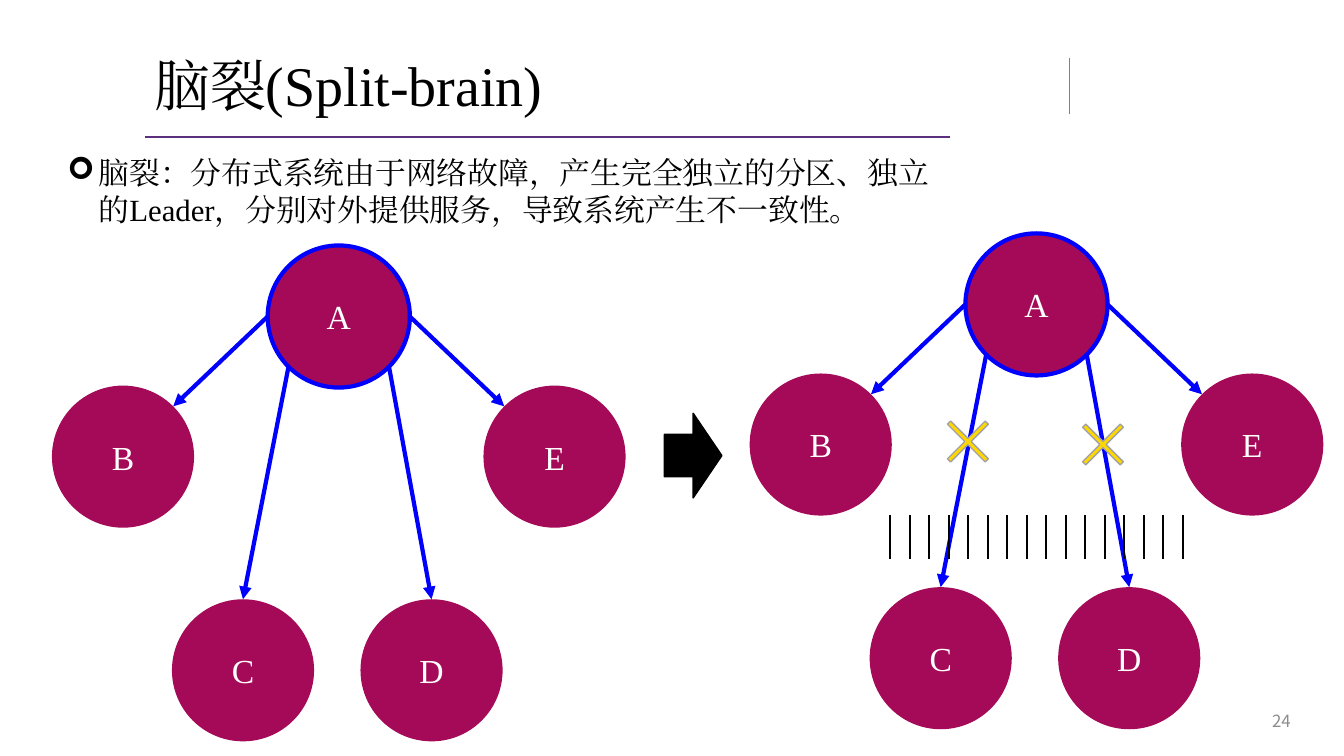
import math

from lxml import etree
from pptx import Presentation
from pptx.dml.color import RGBColor
from pptx.enum import shapes, text
from pptx.oxml.ns import qn
from pptx.util import Inches, Pt

COLORS = {
    "ink": "000000",
    "white": "FFFFFF",
    "rule": "5C307E",
    "divider": "808080",
    "number": "8C8C8C",
    "node": "A40A57",
    "link": "0000FF",
    "cross": "FFD700",
    "cross_edge": "A3A3A3",
}
SERIF, SANS = "Times New Roman", "Noto Sans CJK SC"
NODE = 1.41  # node diameter


class SlideBuilder:
    def __init__(self, prs):
        self.slide = prs.slides.add_slide(prs.slide_layouts[6])

    def color(self, name):
        return RGBColor.from_string(COLORS[name])

    def set_text(self, tf, words, size, color, font=SERIF, align=text.PP_ALIGN.LEFT,
                 anchor=text.MSO_ANCHOR.MIDDLE):
        tf.word_wrap = True
        tf.vertical_anchor = anchor
        tf.text = words
        p = tf.paragraphs[0]
        p.alignment = align
        r = p.runs[0]
        r.font.size, r.font.name = Pt(size), font
        r.font.color.rgb = self.color(color)
        etree.SubElement(r._r.get_or_add_rPr(), qn("a:ea"), typeface=font)
        return p

    def textbox(self, box, words, size, color, **style):
        sp = self.slide.shapes.add_textbox(*map(Inches, box))
        return self.set_text(sp.text_frame, words, size, color, **style)

    def bullet(self, p, char, indent):
        pPr = p._p.get_or_add_pPr()
        pPr.set("marL", str(Inches(indent)))
        pPr.set("indent", str(-Inches(indent)))
        etree.SubElement(pPr, qn("a:buFont"), typeface="Wingdings")
        etree.SubElement(pPr, qn("a:buChar"), char=char)

    def shape(self, kind, box, fill, edge=None, width=1):
        sp = self.slide.shapes.add_shape(kind, *map(Inches, box))
        sp.shadow.inherit = False
        sp.fill.solid()
        sp.fill.fore_color.rgb = self.color(fill)
        if edge:
            sp.line.color.rgb = self.color(edge)
            sp.line.width = Pt(width)
        else:
            sp.line.fill.background()
        return sp

    def line(self, start, end, color, width, arrow=False):
        cxn = self.slide.shapes.add_connector(
            shapes.MSO_CONNECTOR.STRAIGHT, *map(Inches, (*start, *end)))
        cxn.line.color.rgb = self.color(color)
        cxn.line.width = Pt(width)
        spPr = cxn._element.spPr
        if arrow:
            etree.SubElement(spPr.find(qn("a:ln")), qn("a:tailEnd"), type="triangle")
        etree.SubElement(spPr, qn("a:effectLst"))

    def node(self, center, label, edge=None):
        x, y = center
        box = (x - NODE / 2, y - NODE / 2, NODE, NODE)
        sp = self.shape(shapes.MSO_SHAPE.OVAL, box, "node", edge, 3)
        self.set_text(sp.text_frame, label, 24, "white", align=text.PP_ALIGN.CENTER)

    def cluster(self, x, y):
        """Leader A at (x, y) with arrows to its four followers."""
        def rim(center, degrees):
            a = math.radians(degrees)
            return (center[0] + NODE / 2 * math.cos(a), center[1] + NODE / 2 * math.sin(a))

        # label, offset from the leader, angle at the leader, angle at the follower
        followers = [
            ("B", -2.14, 1.39, 180, -45),
            ("C", -0.95, 3.51, 135, -90),
            ("D", 0.92, 3.51, 45, -90),
            ("E", 2.14, 1.39, 0, -135),
        ]
        self.node((x, y), "A", "link")
        for label, dx, dy, leave, arrive in followers:
            center = (x + dx, y + dy)
            self.node(center, label)
            self.line(rim((x, y), leave), rim(center, arrive), "link", 3, arrow=True)

    def cross(self, x, y):
        sp = self.shape(shapes.MSO_SHAPE.MATH_MULTIPLY, (x, y, 0.72, 0.72),
                        "cross", "cross_edge")
        sp.adjustments[0] = 0.062


def main():
    prs = Presentation()
    prs.slide_width, prs.slide_height = Inches(13.33), Inches(7.5)
    s = SlideBuilder(prs)

    # Heading, rules and page number
    s.line((1.44, 1.36), (9.42, 1.36), "rule", 1.5)
    s.line((10.61, 0.58), (10.61, 1.13), "divider", 1)
    title = s.textbox((1.43, 0.4, 8.99, 0.96), "脑裂(Split-brain)", 40, "ink")
    title.line_spacing = 0.9
    s.textbox((9.9, 6.95, 3, 0.4), "24", 12, "number", font=SANS, align=text.PP_ALIGN.RIGHT)

    # Definition
    definition = s.textbox(
        (0.57, 1.48, 8.8, 0.84),
        "脑裂：分布式系统由于网络故障，产生完全独立的分区、独立的Leader，"
        "分别对外提供服务，导致系统产生不一致性。",
        22, "ink", anchor=text.MSO_ANCHOR.TOP)
    s.bullet(definition, "➢", 0.31)

    # Cluster before and after the split
    s.cluster(3.36, 3.14)
    s.cluster(10.28, 3.02)
    s.cross(9.24, 4.02)
    s.cross(10.58, 4.05)

    # Partition between the two halves
    first, last, count = 8.83, 11.73, 16
    for i in range(count):
        x = first + i * (last - first) / (count - 1)
        s.line((x, 5.11), (x, 5.55), "ink", 1.5)

    # Arrow from before to after
    s.shape(shapes.MSO_SHAPE.RIGHT_ARROW, (6.59, 4.1, 0.57, 0.84), "ink", "ink")

    prs.save("out.pptx")


if __name__ == "__main__":
    main()
